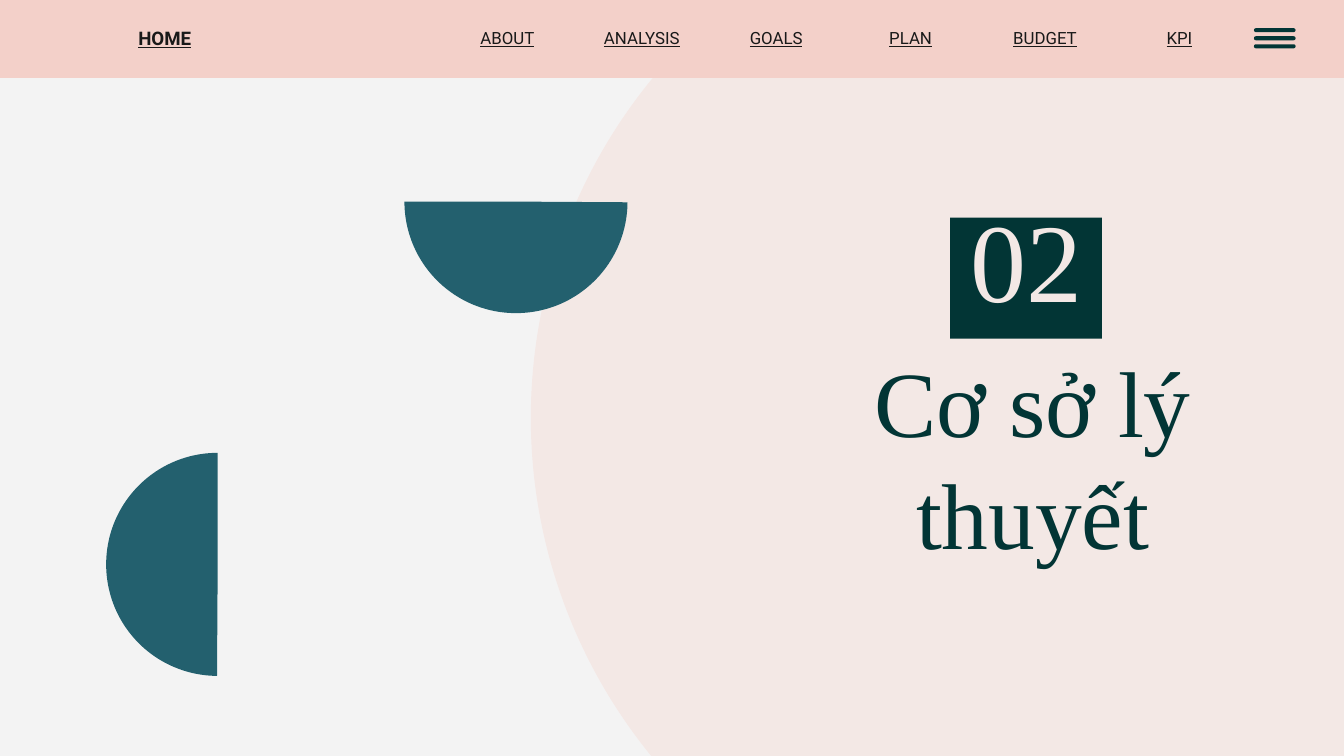
"""Build the section slide "02 Cơ sở lý thuyết" with its menu bar."""
from pptx import Presentation
from pptx import util as u
from pptx.dml.color import RGBColor
from pptx.enum import shapes, text

WIDE = 10
HIGH = WIDE * 9 / 16
HUES = {"page": "F3F3F3", "blush": "F3E8E5", "rose": "F3D0C9",
        "dark": "023535", "teal": "23606E", "ink": "191919"}
KIND = shapes.MSO_SHAPE
ANCHOR = text.MSO_ANCHOR

MENU = ["ABOUT", "ANALYSIS", "GOALS", "PLAN", "BUDGET", "KPI"]
LINK = {"name": "Roboto", "size": u.Pt(9), "underline": True}
HOME = {**LINK, "size": u.Pt(10), "bold": True}
HEAD = {"name": "Times New Roman", "size": u.Pt(50)}
COUNT = {**HEAD, "size": u.Pt(60)}

DISC = (3.95, -0.87, 7.96, 7.96)
BAR = (0, 0, WIDE, 0.58)
BADGE = (7.07, 1.62, 1.13, 0.9)
TITLE = (6.33, 2.66, 2.61, 1.67)
HALVES = [((3.01, 0.67, 1.66, 1.66), 270), ((0.79, 3.37, 1.66, 1.66), 0)]
LEFT, STEP = 3.33, 1
BURGER = {"left": 9.33, "top": 0.21, "gap": 0.06, "rows": 3}


def color(hue):
    return RGBColor.from_string(HUES[hue])


def draw(slide, kind, box, hue, turn=0, bends=()):
    shape = slide.shapes.add_shape(kind, *map(u.Inches, box))
    shape.shadow.inherit = False
    shape.fill.solid()
    shape.fill.fore_color.rgb = color(hue)
    shape.line.fill.background()
    shape.rotation = turn
    for i, bend in enumerate(bends):
        shape.adjustments[i] = bend
    return shape


def write(shape, words, font, hue, anchor, left=0.1, right=0.1):
    frame = shape.text_frame
    pads = {"margin_left": left, "margin_right": right,
            "margin_top": 0.1, "margin_bottom": 0.1}
    for key, pad in pads.items():
        setattr(frame, key, u.Inches(pad))
    frame.word_wrap = True
    frame.vertical_anchor = anchor
    par = frame.paragraphs[0]
    par.alignment = text.PP_ALIGN.CENTER
    run = par.add_run()
    run.text = words
    for key, val in font.items():
        setattr(run.font, key, val)
    run.font.color.rgb = color(hue)


def label(slide, box):
    return slide.shapes.add_textbox(*map(u.Inches, box))


def link(slide, words, left, font):
    write(label(slide, (left, 0.2, 0.89, 0.17)), words, font, "ink",
          ANCHOR.MIDDLE, 0, 0)


def main():
    deck = Presentation()
    deck.slide_width, deck.slide_height = u.Inches(WIDE), u.Inches(HIGH)
    slide = deck.slides.add_slide(deck.slide_layouts[6])
    slide.background.fill.solid()
    slide.background.fill.fore_color.rgb = color("page")

    draw(slide, KIND.OVAL, DISC, "blush")
    write(label(slide, TITLE), "Cơ sở lý thuyết", HEAD, "dark",
          ANCHOR.BOTTOM, right=0)
    badge = draw(slide, KIND.RECTANGLE, BADGE, "dark")
    write(badge, "02", COUNT, "blush", ANCHOR.BOTTOM)

    draw(slide, KIND.RECTANGLE, BAR, "rose")
    for row in range(BURGER["rows"]):
        top = BURGER["top"] + row * BURGER["gap"]
        draw(slide, KIND.ROUNDED_RECTANGLE, (BURGER["left"], top, 0.31, 0.03),
             "dark", bends=[0.5])
    for box, turn in HALVES:
        draw(slide, KIND.PIE, box, "teal", turn, [54.21, 162])

    link(slide, "HOME", 0.78, HOME)
    for col, words in enumerate(MENU):
        link(slide, words, LEFT + col * STEP, LINK)
    deck.save("out.pptx")


if __name__ == "__main__":
    main()
